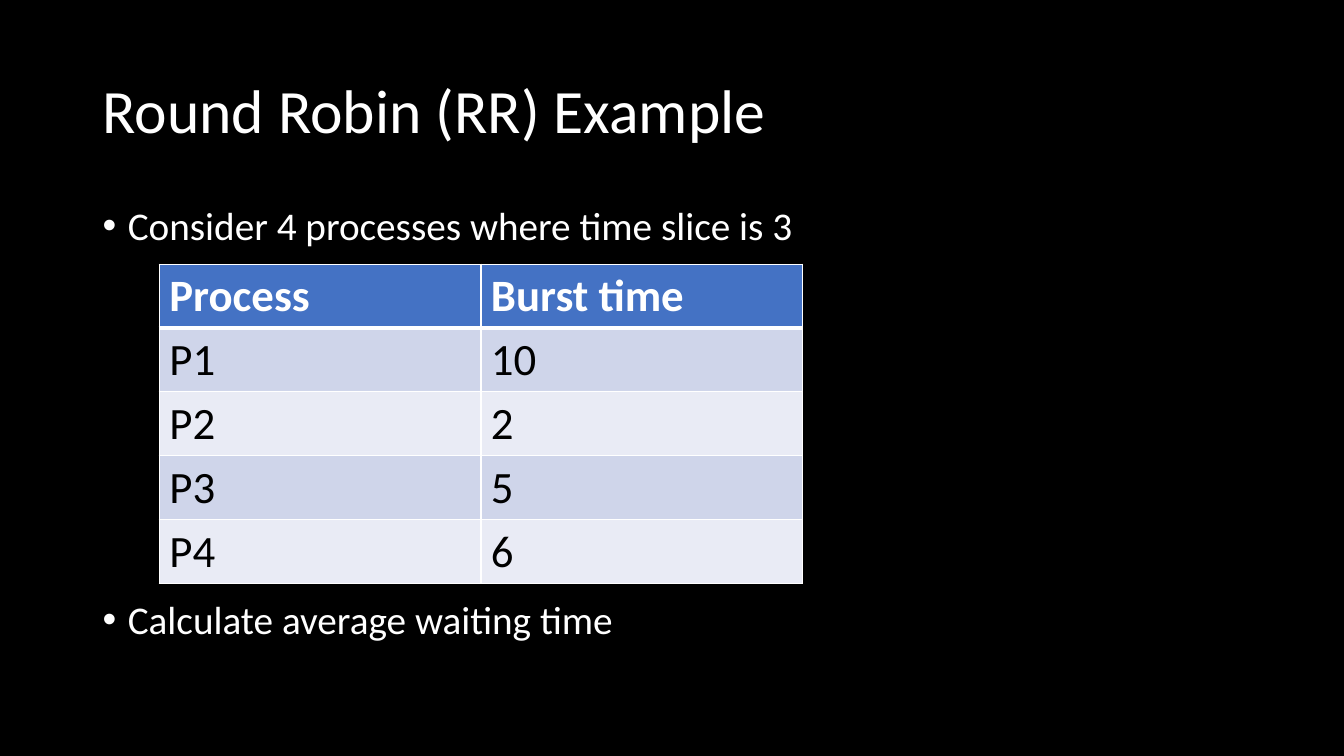
from dataclasses import dataclass

from lxml.etree import SubElement
from pptx import Presentation
from pptx.dml.color import RGBColor
from pptx.enum.text import MSO_ANCHOR
from pptx.oxml.ns import qn
from pptx.util import Inches, Pt


@dataclass(frozen=True)
class Theme:
    """Colours, font and type sizes of the slide."""
    font: str = "Calibri"
    background: str = "000000"
    text: str = "FFFFFF"
    header: str = "4472C4"
    bands: tuple = ("CFD5EA", "E9EBF5")
    cell_text: str = "000000"
    border: str = "FFFFFF"
    title_size: int = 44
    body_size: int = 28
    table_size: int = 32


THEME = Theme()
PROCESSES = [("Process", "Burst time"), ("P1", "10"), ("P2", "2"), ("P3", "5"), ("P4", "6")]
BULLETS = [("Consider 4 processes where time slice is 3", 0),
           ("Calculate average waiting time", 251)]


def set_attrs(obj, values):
    """Set each attribute of obj from a dict."""
    for name, value in values.items():
        setattr(obj, name, value)


def style_text(p, text, size, color, bold=False):
    """Write text in a paragraph as one formatted run."""
    r = p.add_run()
    r.text = text
    set_attrs(r.font, {"name": THEME.font, "size": Pt(size), "bold": bold})
    r.font.color.rgb = RGBColor.from_string(color)


def add_box(s, box, anchor):
    """Add a wrapping text box and return its text frame."""
    tf = s.shapes.add_textbox(*map(Inches, box)).text_frame
    set_attrs(tf, {"word_wrap": True, "vertical_anchor": anchor})
    return tf


def add_title(s, box, text):
    """Place the slide title in the middle of its box."""
    p = add_box(s, box, MSO_ANCHOR.MIDDLE).paragraphs[0]
    p.line_spacing = 0.9
    style_text(p, text, THEME.title_size, THEME.text)


def add_bullets(s, box, bullets):
    """Place bulleted lines, each with its space before in points."""
    tf = add_box(s, box, MSO_ANCHOR.TOP)
    for i, (text, gap) in enumerate(bullets):
        p = tf.add_paragraph() if i else tf.paragraphs[0]
        set_attrs(p, {"line_spacing": 0.9, "space_before": Pt(gap)})
        pPr = p._p.get_or_add_pPr()
        pPr.set("marL", str(Inches(0.25)))
        pPr.set("indent", str(Inches(-0.25)))
        SubElement(pPr, qn("a:buFont"), typeface="Arial")
        SubElement(pPr, qn("a:buChar"), char="•")
        style_text(p, text, THEME.body_size, THEME.text)


def add_borders(cell, widths):
    """Draw cell borders from a dict of side to width in points."""
    tcPr = cell._tc.get_or_add_tcPr()
    for side, width in widths.items():
        ln = SubElement(tcPr, qn(f"a:ln{side}"), w=str(Pt(width)))
        SubElement(SubElement(ln, qn("a:solidFill")), qn("a:srgbClr"), val=THEME.border)


def add_process_table(s, box, rows):
    """Fill the box with a table of equal rows and columns."""
    table = s.shapes.add_table(len(rows), len(rows[0]), *map(Inches, box)).table
    for i, row in enumerate(rows):
        is_header = i == 0
        fill = THEME.header if is_header else THEME.bands[(i - 1) % 2]
        color = THEME.text if is_header else THEME.cell_text
        widths = {"L": 1, "R": 1, "T": 3 if i == 1 else 1, "B": 3 if is_header else 1}
        for j, text in enumerate(row):
            cell = table.cell(i, j)
            add_borders(cell, widths)
            cell.fill.solid()
            cell.fill.fore_color.rgb = RGBColor.from_string(fill)
            style_text(cell.text_frame.paragraphs[0], text, THEME.table_size, color, is_header)


def build_example_slide(prs):
    """Build the round robin example slide."""
    s = prs.slides.add_slide(prs.slide_layouts[6])
    s.background.fill.solid()
    s.background.fill.fore_color.rgb = RGBColor.from_string(THEME.background)
    add_title(s, (0.92, 0.4, 11.5, 1.45), "Round Robin (RR) Example")
    add_bullets(s, (0.92, 2, 11.5, 4.76), BULLETS)
    add_process_table(s, (1.58, 2.62, 6.38, 3.17), PROCESSES)


def main():
    """Create and save the presentation."""
    prs = Presentation()
    set_attrs(prs, {"slide_width": Inches(13.33), "slide_height": Inches(7.5)})
    build_example_slide(prs)
    prs.save("out.pptx")


if __name__ == "__main__":
    main()
